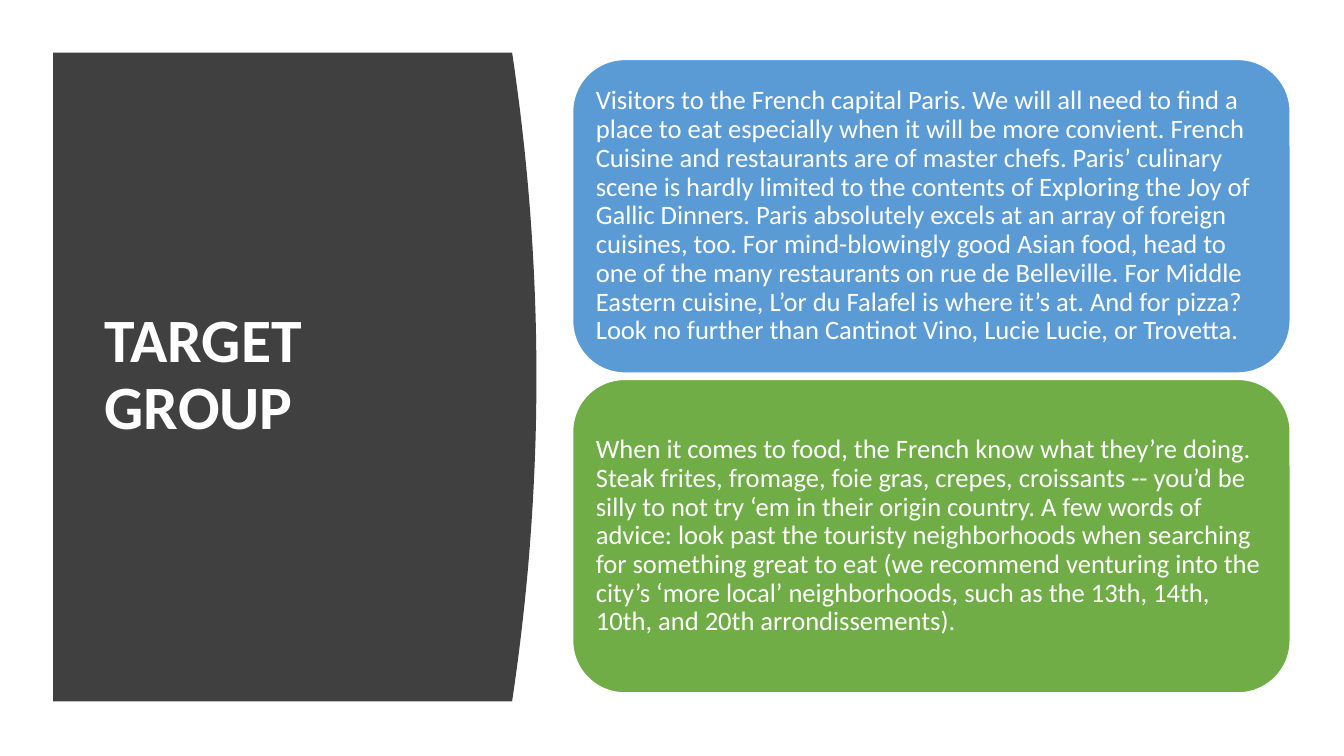
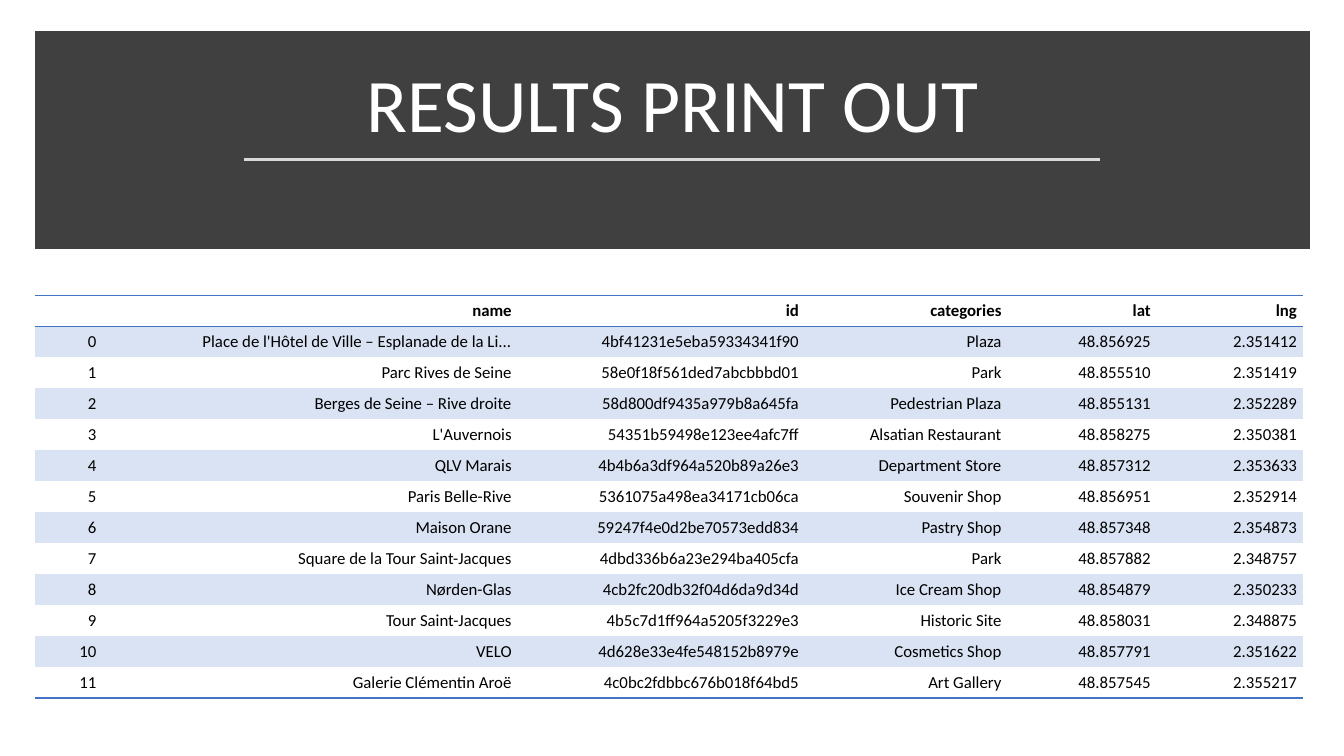
import pptx
import pptx.util
import pptx.dml.color
import pptx.enum.shapes
import pptx.enum.text
import pptx.oxml.ns
import lxml.etree

Pt = pptx.util.Pt
Shapes = pptx.enum.shapes.MSO_SHAPE
Anchor = pptx.enum.text.MSO_ANCHOR
Align = pptx.enum.text.PP_ALIGN
qn = pptx.oxml.ns.qn

FONT = "Calibri"
CHARCOAL = "404040"
WHITE = "FFFFFF"
BLACK = "000000"
RULE_GREY = "D9D9D9"
TABLE_BLUE = "4472C4"
BAND_BLUE = "DAE3F3"
NO_TABLE_STYLE = "{2D5ABB26-0587-4C30-8999-92F81FD0307C}"

TARGET_TITLE = "TARGET GROUP"
AUDIENCES = [
    ("5B9BD5",
     "Visitors to the French capital Paris. We will all need to find a place to eat "
     "especially when it will be more convient. French Cuisine and restaurants are of "
     "master chefs. Paris’ culinary scene is hardly limited to the contents of Exploring "
     "the Joy of Gallic Dinners. Paris absolutely excels at an array of foreign cuisines, "
     "too. For mind-blowingly good Asian food, head to one of the many restaurants on rue "
     "de Belleville. For Middle Eastern cuisine, L’or du Falafel is where it’s at. And for "
     "pizza? Look no further than Cantinot Vino, Lucie Lucie, or Trovetta."),
    ("70AD47",
     "When it comes to food, the French know what they’re doing. Steak frites, fromage, "
     "foie gras, crepes, croissants -- you’d be silly to not try ‘em in their origin "
     "country. A few words of advice: look past the touristy neighborhoods when searching "
     "for something great to eat (we recommend venturing into the city’s ‘more local’ "
     "neighborhoods, such as the 13th, 14th, 10th, and 20th arrondissements)."),
]

RESULTS_TITLE = "RESULTS PRINT OUT"
HEADINGS = ("", "name", "id", "categories", "lat", "lng")
VENUES = [
    ("Place de l'Hôtel de Ville – Esplanade de la Li...", "4bf41231e5eba59334341f90",
     "Plaza", "48.856925", "2.351412"),
    ("Parc Rives de Seine", "58e0f18f561ded7abcbbbd01", "Park", "48.855510", "2.351419"),
    ("Berges de Seine –\u00a0Rive droite", "58d800df9435a979b8a645fa",
     "Pedestrian Plaza", "48.855131", "2.352289"),
    ("L'Auvernois", "54351b59498e123ee4afc7ff", "Alsatian Restaurant", "48.858275", "2.350381"),
    ("QLV Marais", "4b4b6a3df964a520b89a26e3", "Department Store", "48.857312", "2.353633"),
    ("Paris Belle-Rive", "5361075a498ea34171cb06ca", "Souvenir Shop", "48.856951", "2.352914"),
    ("Maison Orane", "59247f4e0d2be70573edd834", "Pastry Shop", "48.857348", "2.354873"),
    ("Square de la Tour Saint-Jacques", "4dbd336b6a23e294ba405cfa",
     "Park", "48.857882", "2.348757"),
    ("Nørden-Glas", "4cb2fc20db32f04d6da9d34d", "Ice Cream Shop", "48.854879", "2.350233"),
    ("Tour Saint-Jacques", "4b5c7d1ff964a5205f3229e3",
     "Historic Site", "48.858031", "2.348875"),
    ("VELO", "4d628e33e4fe548152b8979e", "Cosmetics Shop", "48.857791", "2.351622"),
    ("Galerie Clémentin Aroë", "4c0bc2fdbbc676b018f64bd5",
     "Art Gallery", "48.857545", "2.355217"),
]
COLUMN_WIDTHS = (48, 296.6, 205.2, 144.7, 106.6, 104.4)


def color(value):
    return pptx.dml.color.RGBColor.from_string(value)


def paint(shape, fill, line=None, width=1):
    shape.shadow.inherit = False
    shape.fill.solid()
    shape.fill.fore_color.rgb = color(fill)
    if line:
        shape.line.color.rgb = color(line)
        shape.line.width = Pt(width)
        lxml.etree.SubElement(shape._element.spPr.find(qn("a:ln")), qn("a:miter"), lim="800000")
    else:
        shape.line.fill.background()


def write(frame, text, size, ink=WHITE, bold=False, align=Align.LEFT, spacing=0.9):
    frame.text = text
    paragraph = frame.paragraphs[0]
    paragraph.alignment = align
    paragraph.line_spacing = spacing
    for run in paragraph.runs:
        run.font.name = FONT
        run.font.size = Pt(size)
        run.font.bold = bold
        run.font.color.rgb = color(ink)
    if not text:
        lxml.etree.SubElement(paragraph._p, qn("a:endParaRPr"), sz=str(size * 100))


def add_title(slide, box, text, size, anchor, **style):
    frame = slide.shapes.add_textbox(*map(Pt, box)).text_frame
    frame.word_wrap = True
    frame.vertical_anchor = anchor
    write(frame, text, size, **style)


def set_border(cell, side):
    line = lxml.etree.SubElement(cell._tc.get_or_add_tcPr(), qn("a:ln" + side), w=str(Pt(1)))
    fill = lxml.etree.SubElement(line, qn("a:solidFill"))
    lxml.etree.SubElement(fill, qn("a:srgbClr"), val=TABLE_BLUE)


def build_target_group(slide):
    left, top, bottom, edge, bulge, steps = 38, 37.5, 501, 365.8, 17.4, 40
    curve = []
    for step in range(steps + 1):
        offset = 2 * step / steps - 1
        curve.append((Pt(edge + bulge * (1 - offset ** 2)),
                      Pt(top + (bottom - top) * step / steps)))
    outline = slide.shapes.build_freeform(Pt(left), Pt(top), scale=1.0)
    outline.add_line_segments(curve + [(Pt(left), Pt(bottom))], close=True)
    paint(outline.convert_to_shape(), CHARCOAL)
    add_title(slide, (67.7, 80, 269.3, 377), TARGET_TITLE, 44, Anchor.MIDDLE, bold=True)

    panel_top, panel_height, panel_gap = 42.5, 224, 4.5
    for index, (fill, text) in enumerate(AUDIENCES):
        panel = slide.shapes.add_shape(
            Shapes.ROUNDED_RECTANGLE, Pt(409), Pt(panel_top + index * (panel_height + panel_gap)),
            Pt(512.6), Pt(panel_height))
        paint(panel, fill, WHITE)
        frame = panel.text_frame
        frame.word_wrap = True
        frame.vertical_anchor = Anchor.MIDDLE
        frame.margin_left = frame.margin_right = Pt(5.7)
        frame.margin_top = frame.margin_bottom = Pt(5.7)
        write(frame, text, 19)


def build_results(slide):
    band = slide.shapes.add_shape(Shapes.RECTANGLE, Pt(29.7), Pt(27.3), Pt(901), Pt(145.3))
    paint(band, CHARCOAL, CHARCOAL, 10)
    add_title(slide, (41.8, 36.7, 877, 73.4), RESULTS_TITLE, 54, Anchor.BOTTOM,
              align=Align.CENTER)
    rule = slide.shapes.add_connector(
        pptx.enum.shapes.MSO_CONNECTOR.STRAIGHT, Pt(174.2), Pt(113.8), Pt(785.5), Pt(113.8))
    rule.line.color.rgb = color(RULE_GREY)
    rule.line.width = Pt(1.75)
    lxml.etree.SubElement(rule._element.spPr, qn("a:effectLst"))

    rows = [HEADINGS] + [(str(number), *venue) for number, venue in enumerate(VENUES)]
    row_height = 22.15
    table = slide.shapes.add_table(
        len(rows), len(HEADINGS), Pt(25.2), Pt(210.8),
        Pt(sum(COLUMN_WIDTHS)), Pt(row_height * len(rows))).table
    table.first_row = table.horz_banding = False
    table._tbl.tblPr.find(qn("a:tableStyleId")).text = NO_TABLE_STYLE
    for column, width in zip(table.columns, COLUMN_WIDTHS):
        column.width = Pt(width)
    for r, values in enumerate(rows):
        table.rows[r].height = Pt(row_height)
        for c, value in enumerate(values):
            cell = table.cell(r, c)
            cell.vertical_anchor = Anchor.MIDDLE
            cell.margin_left = cell.margin_right = Pt(4.3)
            cell.margin_top = cell.margin_bottom = Pt(2.2)
            write(cell.text_frame, value, 12, BLACK, r == 0, Align.RIGHT, 1.0)
            if r == 0:
                set_border(cell, "T")
            if r in (0, len(rows) - 1):
                set_border(cell, "B")
            if r % 2:
                cell.fill.solid()
                cell.fill.fore_color.rgb = color(BAND_BLUE)
            else:
                cell.fill.background()


deck = pptx.Presentation()
deck.slide_width, deck.slide_height = Pt(960), Pt(540)
for build in (build_target_group, build_results):
    build(deck.slides.add_slide(deck.slide_layouts[6]))
deck.save("out.pptx")
